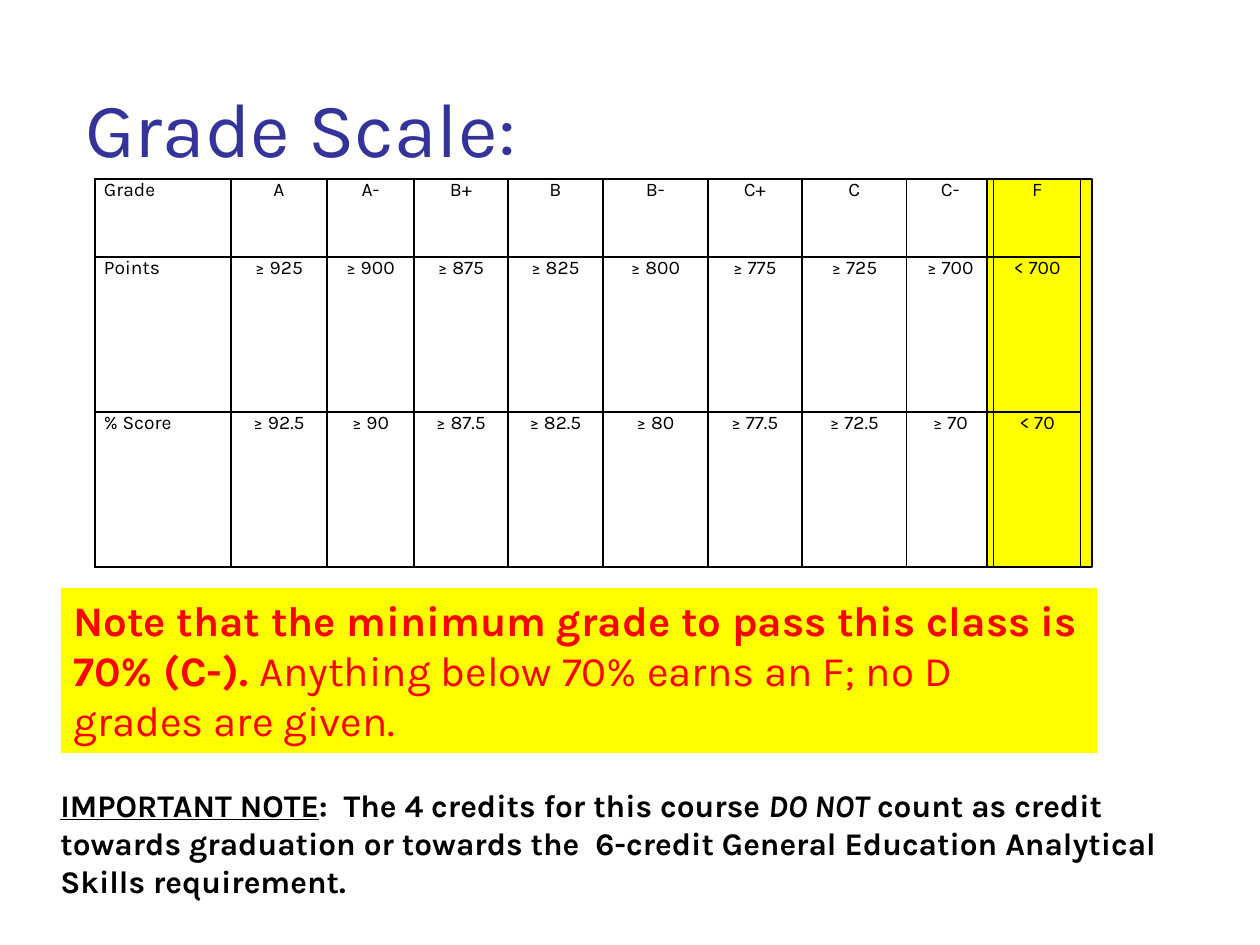
from lxml import etree
from pptx import Presentation
from pptx import util as u
from pptx.dml.color import RGBColor
from pptx.enum import shapes, text
from pptx.oxml.ns import qn

PX = u.Inches(1) / 126
BLACK = RGBColor(0x00, 0x00, 0x00)
YELLOW = RGBColor(0xFF, 0xFF, 0x00)
RED = RGBColor(0xFF, 0x00, 0x00)
INDIGO = RGBColor(0x33, 0x33, 0x99)

GRADES = [
    ["Grade", "A", "A-", "B+", "B", "B-", "C+", "C", "C-", "F"],
    ["Points", "≥ 925", "≥ 900", "≥ 875", "≥ 825", "≥ 800", "≥ 775", "≥ 725", "≥ 700", "< 700"],
    ["% Score", "≥ 92.5", "≥ 90", "≥ 87.5", "≥ 82.5", "≥ 80", "≥ 77.5", "≥ 72.5", "≥ 70", "< 70"],
]
COLUMN_WIDTHS = [136, 96, 87, 94, 95, 105, 94, 105, 87, 87]
ROW_HEIGHTS = [78, 155, 155]


def px(length):
    return u.Emu(round(length * PX))


def set_all(target, values):
    for name, value in values.items():
        setattr(target, name, value)


class SlideBuilder:
    def __init__(self, slide, font_name):
        self.slide = slide
        self.font_name = font_name

    def add_runs(self, paragraph, runs, size, color):
        """Add runs given as (wording, extra font values)."""
        for wording, extra in runs:
            run = paragraph.add_run()
            run.text = wording
            set_all(run.font, {"name": self.font_name, "size": u.Pt(size), **extra})
            run.font.color.rgb = color

    def rectangle(self, box, fill, line):
        shape = self.slide.shapes.add_shape(shapes.MSO_SHAPE.RECTANGLE, *map(px, box))
        shape.shadow.inherit = False
        shape.fill.solid()
        shape.fill.fore_color.rgb = fill
        shape.line.color.rgb = line
        shape.line.width = u.Pt(0.75)

    def text_box(self, box, runs, size, color, fill=None, **frame_values):
        shape = self.slide.shapes.add_textbox(*map(px, box))
        if fill is not None:
            shape.fill.solid()
            shape.fill.fore_color.rgb = fill
        frame = shape.text_frame
        set_all(frame, {"word_wrap": True, **frame_values})
        self.add_runs(frame.paragraphs[0], runs, size, color)

    def border(self, cell):
        properties = cell._tc.get_or_add_tcPr()
        for index, side in enumerate(("lnL", "lnR", "lnT", "lnB")):
            line = etree.Element(qn(f"a:{side}"), w=str(u.Pt(1)))
            fill = etree.SubElement(line, qn("a:solidFill"))
            etree.SubElement(fill, qn("a:srgbClr"), val=str(BLACK))
            properties.insert(index, line)

    def table(self, left, top, rows, widths, heights, size):
        frame = self.slide.shapes.add_table(
            len(rows), len(widths), px(left), px(top), px(sum(widths)), px(sum(heights)))
        table = frame.table
        set_all(table, {"first_row": False, "horz_banding": False})
        for column, width in zip(table.columns, widths):
            column.width = px(width)
        for row, height, values in zip(table.rows, heights, rows):
            row.height = px(height)
            for index, (cell, value) in enumerate(zip(row.cells, values)):
                set_all(cell, {"margin_left": px(9), "margin_right": px(9),
                               "margin_top": 0, "margin_bottom": 0})
                cell.fill.background()
                self.border(cell)
                paragraph = cell.text_frame.paragraphs[0]
                paragraph.alignment = text.PP_ALIGN.CENTER if index else text.PP_ALIGN.JUSTIFY
                self.add_runs(paragraph, [(value, {})], size, BLACK)


def main():
    presentation = Presentation()
    set_all(presentation, {"slide_width": px(1260), "slide_height": px(945)})
    slide = presentation.slides.add_slide(presentation.slide_layouts[6])
    builder = SlideBuilder(slide, "Karla")
    grow = text.MSO_AUTO_SIZE.SHAPE_TO_FIT_TEXT

    builder.rectangle((987, 179, 105, 388), YELLOW, BLACK)
    builder.text_box((73, 21, 1074, 158), [("Grade Scale:", {})], 44, INDIGO,
                     vertical_anchor=text.MSO_ANCHOR.BOTTOM)
    builder.text_box((61, 588, 1036, 165), [
        ("Note that the minimum grade to pass this class is 70% (C-). ", {"bold": True}),
        ("Anything below 70% earns an F; no D grades are given.", {}),
    ], 24, RED, fill=YELLOW, auto_size=grow)
    builder.table(95, 179, GRADES, COLUMN_WIDTHS, ROW_HEIGHTS, 11)
    builder.text_box((48, 780, 1144, 127), [
        ("IMPORTANT NOTE", {"bold": True, "underline": True}),
        (":  The 4 credits for this course ", {"bold": True}),
        ("DO NOT", {"bold": True, "italic": True}),
        (" count as credit towards graduation or towards the  6-credit "
         "General Education Analytical Skills requirement.", {"bold": True}),
    ], 18, BLACK, auto_size=grow)

    presentation.save("out.pptx")


if __name__ == "__main__":
    main()
